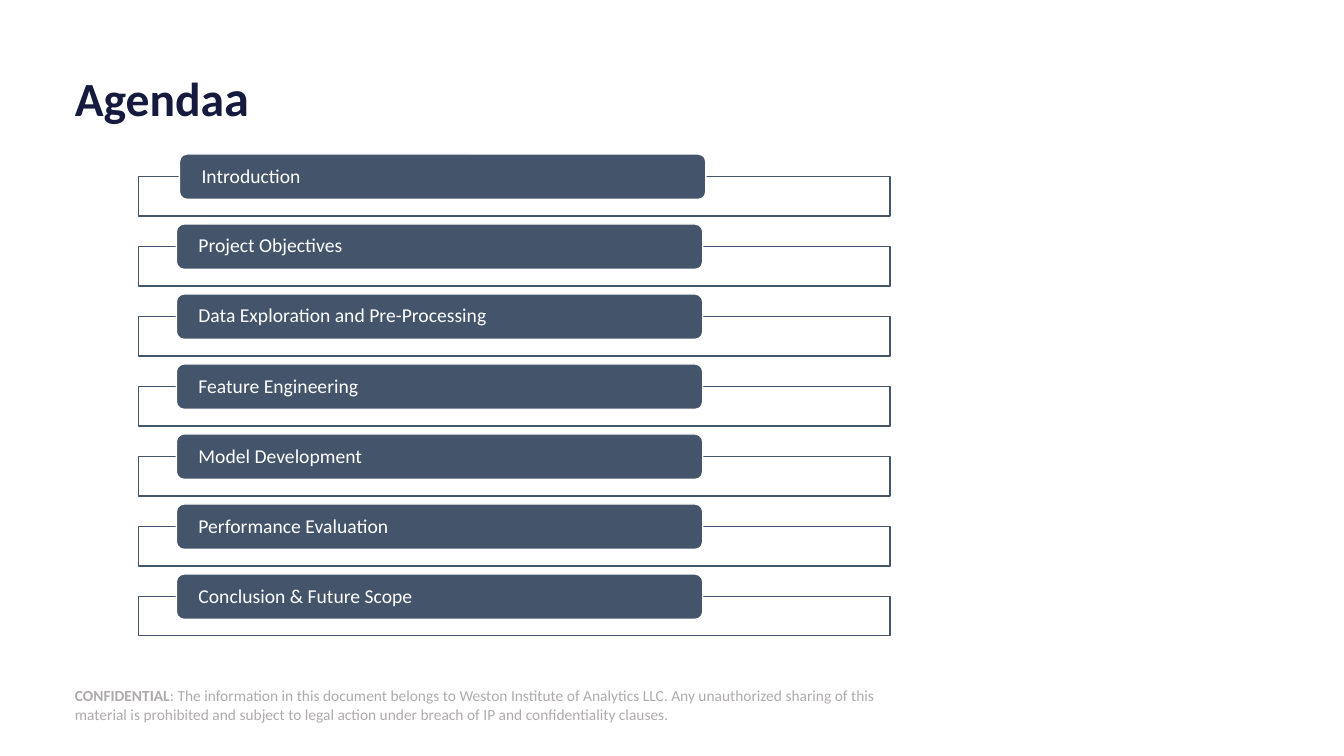
from dataclasses import dataclass

import lxml.etree
import pptx
import pptx.dml.color
import pptx.enum.shapes
import pptx.enum.text
import pptx.oxml.ns
import pptx.util
from pptx.util import Pt


@dataclass(frozen=True)
class Theme:
    font: str = "Calibri"
    navy: str = "161A3E"
    slate: str = "44546A"
    white: str = "FFFFFF"
    grey: str = "AFABAB"
    title_size: int = 34
    title_end_size: int = 36
    topic_size: int = 14
    notice_size: int = 11


@dataclass(frozen=True)
class Box:
    left: float
    top: float
    width: float
    height: float


@dataclass(frozen=True)
class Words:
    text: str
    size: int
    color: str
    bold: bool = False


@dataclass(frozen=True)
class Topic:
    name: str
    bar_left: float = 126


THEME = Theme()
ROW_STEP = 50
TOPICS = [
    Topic("Introduction", bar_left=128.2),
    Topic("Project Objectives"),
    Topic("Data Exploration and Pre-Processing"),
    Topic("Feature Engineering"),
    Topic("Model Development"),
    Topic("Performance Evaluation"),
    Topic("Conclusion & Future Scope"),
]
TITLE = [
    Words("Agenda", THEME.title_size, THEME.navy, bold=True),
    Words("a", THEME.title_end_size, THEME.navy, bold=True),
]
NOTICE = [
    Words("CONFIDENTIAL", THEME.notice_size, THEME.grey, bold=True),
    Words(
        ": The information in this document belongs to Weston Institute of Analytics LLC. "
        "Any unauthorized sharing of this material is prohibited and subject to legal action "
        "under breach of IP and confidentiality clauses.",
        THEME.notice_size,
        THEME.grey,
    ),
]


def rgb(color: str) -> pptx.dml.color.RGBColor:
    return pptx.dml.color.RGBColor.from_string(color)


def write(frame, words: list[Words], side_inset: float = 0, line_spacing: float = 1) -> None:
    """Fill a text frame with one left-aligned, vertically centred paragraph."""
    frame.word_wrap = True
    frame.vertical_anchor = pptx.enum.text.MSO_ANCHOR.MIDDLE
    frame.margin_left = frame.margin_right = Pt(side_inset)
    frame.margin_top = frame.margin_bottom = Pt(0)
    paragraph = frame.paragraphs[0]
    paragraph.alignment = pptx.enum.text.PP_ALIGN.LEFT
    paragraph.line_spacing = line_spacing
    for part in words:
        run = paragraph.add_run()
        run.text = part.text
        run.font.name = THEME.font
        run.font.size = Pt(part.size)
        run.font.bold = part.bold
        run.font.color.rgb = rgb(part.color)


def add_block(slide, kind, box: Box, fill: str, line: str | None = None):
    block = slide.shapes.add_shape(
        kind, Pt(box.left), Pt(box.top), Pt(box.width), Pt(box.height)
    )
    block.shadow.inherit = False
    block.fill.solid()
    block.fill.fore_color.rgb = rgb(fill)
    if line is None:
        block.line.fill.background()
    else:
        block.line.color.rgb = rgb(line)
        block.line.width = Pt(1)
    return block


def set_opacity(block, percent: int) -> None:
    color = block.fill._xPr.find(".//" + pptx.oxml.ns.qn("a:srgbClr"))
    alpha = lxml.etree.SubElement(color, pptx.oxml.ns.qn("a:alpha"))
    alpha.set("val", str(percent * 1000))


def add_topic(slide, topic: Topic, row: int) -> None:
    """Draw an outlined panel with the topic's bar overlapping its top edge."""
    shapes = pptx.enum.shapes.MSO_SHAPE
    offset = row * ROW_STEP
    panel = add_block(
        slide, shapes.RECTANGLE, Box(98.8, 126.2 + offset, 537, 28), THEME.white, THEME.slate
    )
    set_opacity(panel, 90)
    bar = add_block(
        slide,
        shapes.ROUNDED_RECTANGLE,
        Box(topic.bar_left, 110 + offset, 376, 32.4),
        THEME.slate,
        THEME.white,
    )
    label = Words(topic.name, THEME.topic_size, THEME.white)
    write(bar.text_frame, [label], side_inset=14.2, line_spacing=0.9)


def main() -> None:
    presentation = pptx.Presentation()
    presentation.slide_width = Pt(960)
    presentation.slide_height = Pt(540)
    slide = presentation.slides.add_slide(presentation.slide_layouts[6])

    notice = add_block(
        slide, pptx.enum.shapes.MSO_SHAPE.RECTANGLE, Box(53.5, 489, 588, 29), THEME.white
    )
    write(notice.text_frame, NOTICE)

    title = slide.shapes.add_textbox(Pt(53.5), Pt(47.5), Pt(853), Pt(48))
    write(title.text_frame, TITLE, line_spacing=0.9)

    for row, topic in enumerate(TOPICS):
        add_topic(slide, topic, row)

    presentation.save("out.pptx")


if __name__ == "__main__":
    main()
